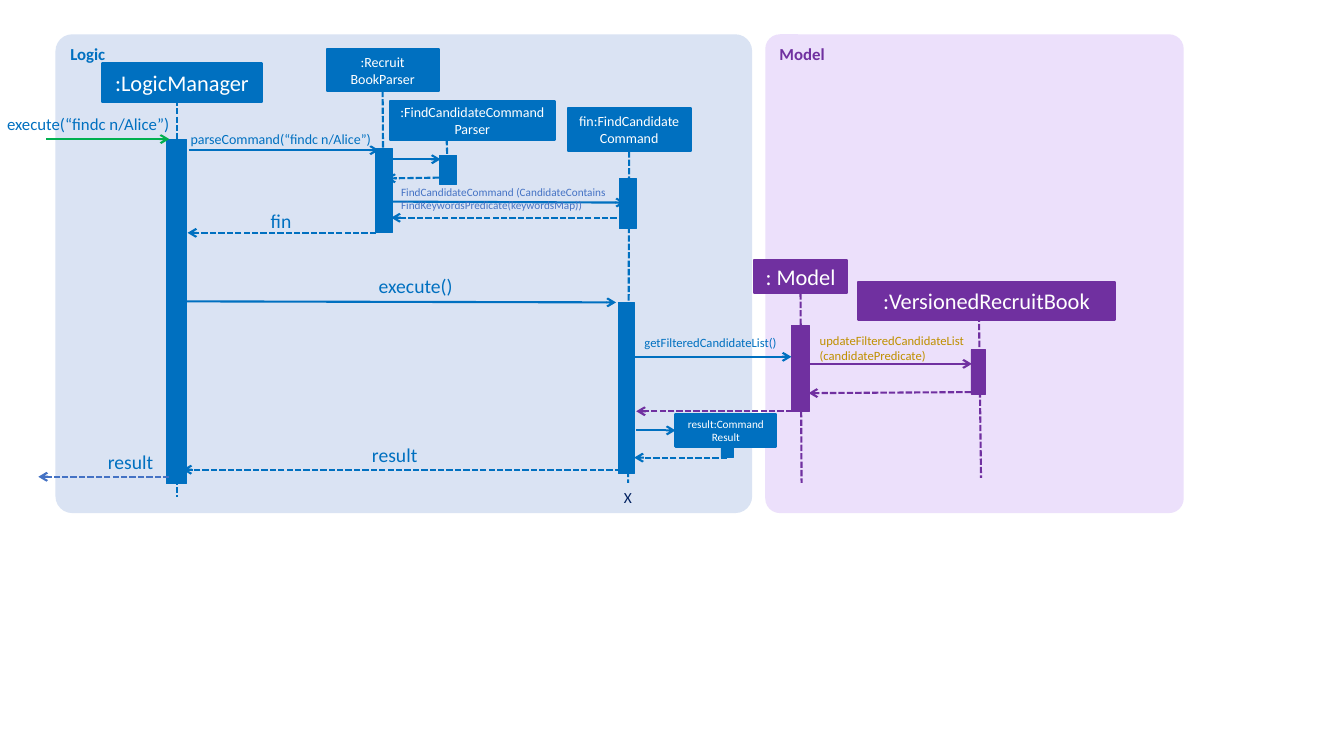
from dataclasses import dataclass
from typing import Union

from lxml.etree import SubElement
from pptx import Presentation
from pptx.dml.color import RGBColor
from pptx.enum.dml import MSO_LINE_DASH_STYLE as Dash
from pptx.enum.shapes import MSO_CONNECTOR as Connector, MSO_SHAPE as Shape
from pptx.enum.text import MSO_ANCHOR as Anchor, MSO_AUTO_SIZE as AutoSize, PP_ALIGN as Align
from pptx.oxml.ns import qn
from pptx.util import Inches, Pt

# Ten grid columns or rows to the inch
CELL = Inches(0.1)
BLUE, PURPLE, GREEN, INDIGO = "0070C0", "7030A0", "00B050", "4472C4"
WHITE, NAVY, GOLD = "FFFFFF", "002060", "BF9000"
TOP, LEFT, BOTTOM, RIGHT = range(4)

Area = tuple[float, float, float, float]
# Either a grid point or the middle of a named box's side
End = Union[tuple[float, float], tuple[str, int]]


@dataclass
class Panel:
    text: str
    area: Area
    fill: str
    color: str


@dataclass
class Box:
    name: str
    area: Area
    text: str = ""
    size: float = 10
    color: str = BLUE


@dataclass
class Line:
    start: End
    end: End
    color: str = BLUE
    dashed: bool = False
    arrow: bool = True


@dataclass
class Label:
    text: str
    area: Area
    size: float
    color: str = BLUE
    align: Align = Align.LEFT
    padded: bool = False


PANELS = [
    Panel("Model", (75.9, 3.4, 41.5, 47.5), "ECE0FB", PURPLE),
    Panel("Logic", (5.5, 3.4, 69.1, 47.5), "DAE3F3", BLUE),
]

# Participants carry text, activation bars do not
BOXES = [
    Box("manager", (10.1, 6.3, 15.9, 3.8), ":LogicManager", 16),
    Box("manager bar", (16.5, 13.8, 2, 34.2)),
    Box("book parser", (32.4, 4.9, 11.1, 4.1), ":Recruit\nBookParser"),
    Box("book parser bar", (37.2, 14.7, 1.7, 8.4)),
    Box("find parser bar", (43.6, 15.4, 1.7, 2.9)),
    Box("find parser", (38.7, 10, 16.3, 3.9), ":FindCandidateCommandParser"),
    Box("command", (56.3, 10.7, 12.2, 4.3), "fin:FindCandidate\vCommand"),
    Box("creation bar", (61.4, 17.7, 1.7, 5)),
    Box("execution bar", (61.3, 30, 1.6, 17)),
    Box("model", (74.8, 25.8, 9.2, 3.3), ": Model", 16, PURPLE),
    Box("model bar", (78.5, 32.3, 1.8, 8.5), color=PURPLE),
    Box("recruit book", (85.1, 28, 25.5, 3.7), ":VersionedRecruitBook", 16, PURPLE),
    Box("recruit book bar", (96.3, 34.7, 1.4, 4.4), color=PURPLE),
    Box("result", (67, 41.1, 10, 3.2), "result:CommandResult", 8),
    Box("result bar", (71.5, 44.3, 1.2, 1.1)),
]

LIFELINES = [
    Line(start, end, color, dashed=True, arrow=False)
    for start, end, color in [
        ((17.6, 9.9), (17.6, 49.3), BLUE),
        (("book parser", BOTTOM), ("book parser bar", BOTTOM), BLUE),
        (("command", BOTTOM), (62.3, 47.9), BLUE),
        ((44.3, 13.8), ("find parser bar", BOTTOM), BLUE),
        (("model", BOTTOM), (79.5, 47.9), PURPLE),
        ((97.1, 31.3), (97.3, 47.4), PURPLE),
    ]
]

CALLS = [
    Line((4.6, 13.8), (16.8, 13.8), GREEN),
    Line((18.7, 14.9), (37.6, 14.9)),
    Line((38.3, 15.8), (43.7, 15.8)),
    Line((38.7, 20), (62, 20.1)),
    Line((18.5, 29.9), (61.1, 30)),
    Line((62.3, 35.4), (78.5, 35.4)),
    Line((80.3, 36.1), (96.4, 36.1), PURPLE),
    Line((63.1, 42.7), ("result", LEFT)),
]

RETURNS = [
    Line(start, end, color, dashed=True)
    for start, end, color in [
        ((45.2, 17.6), (38.3, 17.7), BLUE),
        ((62, 21.6), (38.8, 21.6), BLUE),
        ((37.3, 23.1), (18.6, 23.1), BLUE),
        ((96.3, 38.9), (80.2, 39), PURPLE),
        ((79.4, 40.8), (63.1, 40.8), PURPLE),
        (("result bar", BOTTOM), (62.9, 45.4), BLUE),
        ((61.6, 46.6), (18.1, 46.6), BLUE),
        ((16.8, 47.3), (3.8, 47.3), INDIGO),
    ]
]

LABELS = [
    Label("execute(“findc n/Alice”)", (0.7, 11.3, 16.5, 2), 12),
    Label("parseCommand(“findc n/Alice”)", (18.9, 12.9, 22.1, 1.7), 10),
    Label("FindCandidateCommand (CandidateContains\nFindKeywordsPredicate(keywordsMap))",
          (38.8, 17.9, 30, 3.7), 8, INDIGO, padded=True),
    Label("fin", (26.5, 20.7, 2.4, 2.4), 14, align=Align.RIGHT),
    Label("execute()", (35.5, 27.2, 9.4, 2.4), 14, align=Align.RIGHT),
    Label("getFilteredCandidateList()", (62.8, 33.2, 14.2, 1.5), 9, align=Align.RIGHT),
    Label("updateFilteredCandidateList\n(candidatePredicate)", (81.3, 33, 15, 3), 9, GOLD),
    Label("result", (34.6, 43.9, 6.8, 2.4), 14, align=Align.RIGHT),
    Label("result", (6.9, 44.6, 8.3, 2.4), 14, align=Align.RIGHT),
    Label("X", (60.9, 47.9, 2.8, 2.9), 11, NAVY, padded=True),
]


def rgb(color: str) -> RGBColor:
    return RGBColor.from_string(color)


def cells(*counts: float) -> list[int]:
    return [round(count * CELL) for count in counts]


def write(frame, text: str, size: float, color: str, align: Align, bold: bool = False) -> None:
    frame.word_wrap = True
    for row, content in enumerate(text.split("\n")):
        para = frame.paragraphs[0] if row == 0 else frame.add_paragraph()
        para.alignment = align
        for part, words in enumerate(content.split("\v")):
            if part:
                para.add_line_break()
            span = para.add_run()
            span.text = words
            span.font.name, span.font.size, span.font.bold = "Calibri", Pt(size), bold
            span.font.color.rgb = rgb(color)


def add_filled(page, kind: Shape, area: Area, fill: str):
    shape = page.shapes.add_shape(kind, *cells(*area))
    shape.shadow.inherit = False
    shape.fill.solid()
    shape.fill.fore_color.rgb = rgb(fill)
    return shape


def add_panel(page, panel: Panel) -> None:
    shape = add_filled(page, Shape.ROUNDED_RECTANGLE, panel.area, panel.fill)
    shape.adjustments[0] = 0.035
    shape.line.fill.background()
    shape.text_frame.vertical_anchor = Anchor.TOP
    write(shape.text_frame, panel.text, 12, panel.color, Align.LEFT, bold=True)


def add_box(page, box: Box):
    shape = add_filled(page, Shape.RECTANGLE, box.area, box.color)
    shape.line.color.rgb = rgb(box.color)
    shape.line.width = Pt(1.5 if box.text else 0.5)
    if box.text:
        shape.text_frame.vertical_anchor = Anchor.MIDDLE
        write(shape.text_frame, box.text, box.size, WHITE, Align.CENTER)
    return shape


def add_line(page, line: Line, drawn: dict) -> None:
    start, end = [(0, 0) if isinstance(tip[0], str) else tip for tip in (line.start, line.end)]
    link = page.shapes.add_connector(Connector.STRAIGHT, *cells(*start, *end))
    for tip, join in ((line.start, link.begin_connect), (line.end, link.end_connect)):
        if isinstance(tip[0], str):
            join(drawn[tip[0]], tip[1])
    link.line.color.rgb = rgb(line.color)
    link.line.width = Pt(1.5)
    if line.dashed:
        link.line.dash_style = Dash.SQUARE_DOT
    if line.arrow:
        SubElement(link.line._get_or_add_ln(), qn("a:tailEnd"), type="arrow")
    SubElement(link._element.spPr, qn("a:effectLst"))


def add_label(page, label: Label) -> None:
    frame = page.shapes.add_textbox(*cells(*label.area)).text_frame
    if not label.padded:
        frame.margin_left = frame.margin_top = frame.margin_right = frame.margin_bottom = 0
    frame.auto_size = AutoSize.SHAPE_TO_FIT_TEXT
    write(frame, label.text, label.size, label.color, label.align)


def main() -> None:
    deck = Presentation()
    deck.slide_width, deck.slide_height = Inches(13.33), Inches(7.5)
    page = deck.slides.add_slide(deck.slide_layouts[6])
    for panel in PANELS:
        add_panel(page, panel)
    drawn = {box.name: add_box(page, box) for box in BOXES}
    for line in LIFELINES + CALLS + RETURNS:
        add_line(page, line, drawn)
    for label in LABELS:
        add_label(page, label)
    deck.save("out.pptx")


if __name__ == "__main__":
    main()
